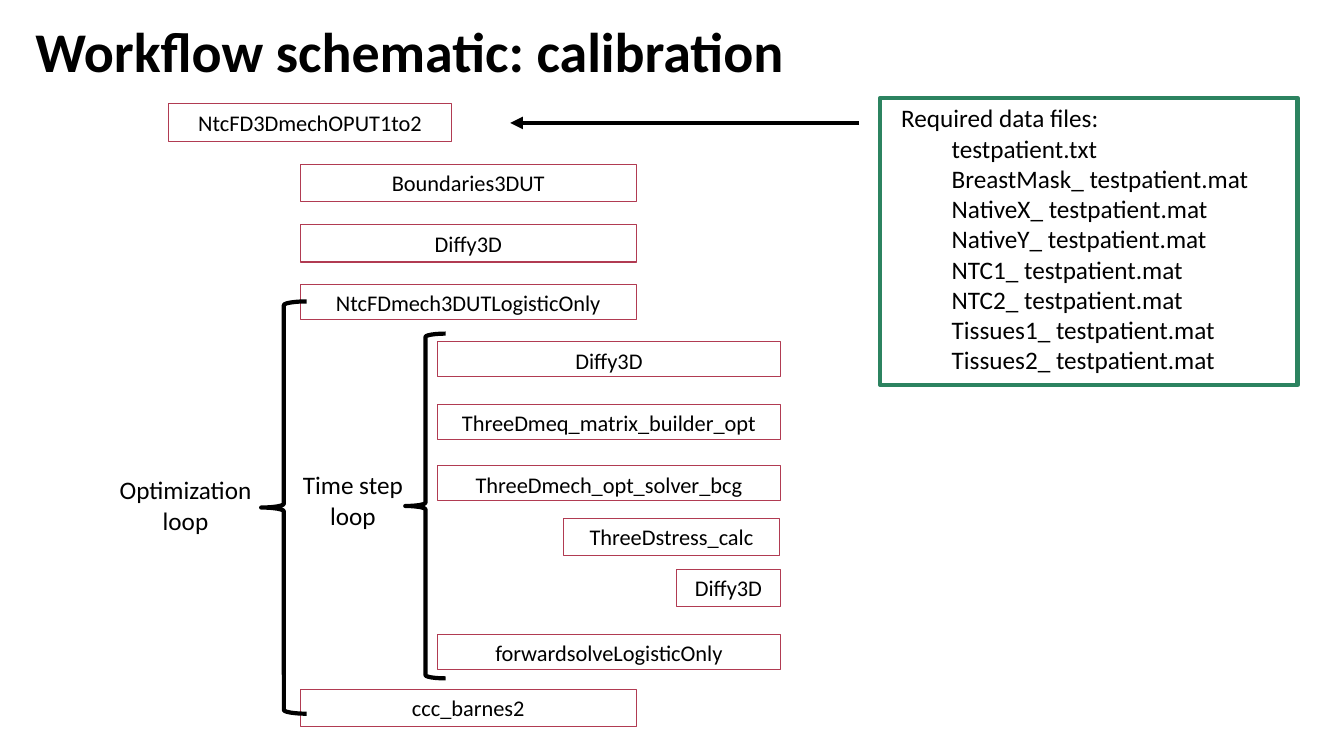
from lxml.etree import SubElement
from pptx import Presentation
from pptx.dml.color import RGBColor
from pptx.enum.shapes import MSO_CONNECTOR, MSO_SHAPE
from pptx.enum.text import MSO_ANCHOR, PP_ALIGN
from pptx.oxml.ns import qn
from pptx.util import Pt

PX = 9144
FONT = "Calibri"
BLACK = RGBColor(0x00, 0x00, 0x00)
CRIMSON = RGBColor(0xB1, 0x3B, 0x52)
GREEN = RGBColor(0x2C, 0x83, 0x60)

FUNCTION_BOXES = [
    ("NtcFD3DmechOPUT1to2", 167, 103, 281, 37),
    ("Boundaries3DUT", 298, 163, 333, 37),
    ("Diffy3D", 298, 223, 333, 37),
    ("NtcFDmech3DUTLogisticOnly", 298, 282, 333, 35),
    ("Diffy3D", 434, 339, 340, 35),
    ("ThreeDmeq_matrix_builder_opt", 434, 401, 340, 35),
    ("ThreeDmech_opt_solver_bcg", 434, 462, 340, 35),
    ("ThreeDstress_calc", 559, 514, 214, 37),
    ("Diffy3D", 671, 565, 103, 37),
    ("forwardsolveLogisticOnly", 434, 629, 340, 35),
    ("ccc_barnes2", 298, 684, 333, 37),
]
LOOPS = [
    (["Optimization", "loop"], (60, 466, 248, 71), (259, 299, 45, 409)),
    (["Time step", "loop"], (226, 461, 248, 71), (402, 331, 40, 342)),
]
PATIENT_FILES = ["testpatient.txt"] + [
    f"{prefix}_ testpatient.mat"
    for prefix in ("BreastMask", "NativeX", "NativeY", "NTC1", "NTC2", "Tissues1", "Tissues2")
]


def scaled(*lengths):
    return [length * PX for length in lengths]


def write_lines(text_frame, lines, size, alignment):
    text_frame.vertical_anchor = MSO_ANCHOR.TOP
    text_frame.text = "\n".join(lines)
    for paragraph in text_frame.paragraphs:
        paragraph.alignment = alignment
        paragraph.font.name = FONT
        paragraph.font.size = Pt(size)
        paragraph.font.color.rgb = BLACK


def add_outline(slide, preset, box, color, width):
    shape = slide.shapes.add_shape(preset, *scaled(*box))
    shape.shadow.inherit = False
    shape.fill.background()
    shape.line.color.rgb = color
    shape.line.width = Pt(width)
    return shape


def add_label(slide, box, lines, alignment, wrap=True):
    label = slide.shapes.add_textbox(*scaled(*box))
    label.text_frame.word_wrap = wrap
    write_lines(label.text_frame, lines, 18, alignment)
    return label


def add_title(slide, box):
    title = slide.shapes.title
    title.left, title.top, title.width, title.height = scaled(*box)
    title.text_frame.text = "Workflow schematic: calibration"
    title.text_frame.vertical_anchor = MSO_ANCHOR.MIDDLE
    paragraph = title.text_frame.paragraphs[0]
    paragraph.alignment = PP_ALIGN.LEFT
    paragraph.line_spacing = 0.9
    paragraph.font.name = FONT
    paragraph.font.size = Pt(40)
    paragraph.font.bold = True
    paragraph.font.color.rgb = BLACK


def add_function_box(slide, name, box):
    shape = add_outline(slide, MSO_SHAPE.RECTANGLE, box, CRIMSON, 0.75)
    write_lines(shape.text_frame, [name], 16, PP_ALIGN.CENTER)


def add_loop(slide, lines, label_box, brace_box):
    add_outline(slide, MSO_SHAPE.LEFT_BRACE, brace_box, BLACK, 3)
    add_label(slide, label_box, lines, PP_ALIGN.CENTER)


def add_required_files(slide, box):
    left, top, width, height = box
    add_outline(slide, MSO_SHAPE.RECTANGLE, box, GREEN, 3)
    label = add_label(slide, (left + 11, top, width - 9, height),
                      ["Required data files:"] + PATIENT_FILES, PP_ALIGN.LEFT, wrap=False)
    for paragraph in label.text_frame.paragraphs[1:]:
        paragraph.level = 1
        properties = paragraph._p.get_or_add_pPr()
        properties.set("marL", str(50 * PX))
        properties.set("indent", "0")


def add_arrow(slide, start_x, end_x, y):
    arrow = slide.shapes.add_connector(MSO_CONNECTOR.STRAIGHT, *scaled(start_x, y, end_x, y))
    arrow.line.color.rgb = BLACK
    arrow.line.width = Pt(3)
    SubElement(arrow.line._get_or_add_ln(), qn("a:tailEnd"), type="triangle")
    SubElement(arrow._element.spPr, qn("a:effectLst"))


def main():
    presentation = Presentation()
    presentation.slide_width, presentation.slide_height = scaled(1333, 750)
    slide = presentation.slides.add_slide(presentation.slide_layouts[5])
    add_title(slide, (25, -171, 1191, 450))
    for name, *box in FUNCTION_BOXES:
        add_function_box(slide, name, box)
    for lines, label_box, brace_box in LOOPS:
        add_loop(slide, lines, label_box, brace_box)
    add_required_files(slide, (873, 97, 414, 285))
    add_arrow(slide, 852, 506, 122)
    presentation.save("out.pptx")


if __name__ == "__main__":
    main()
